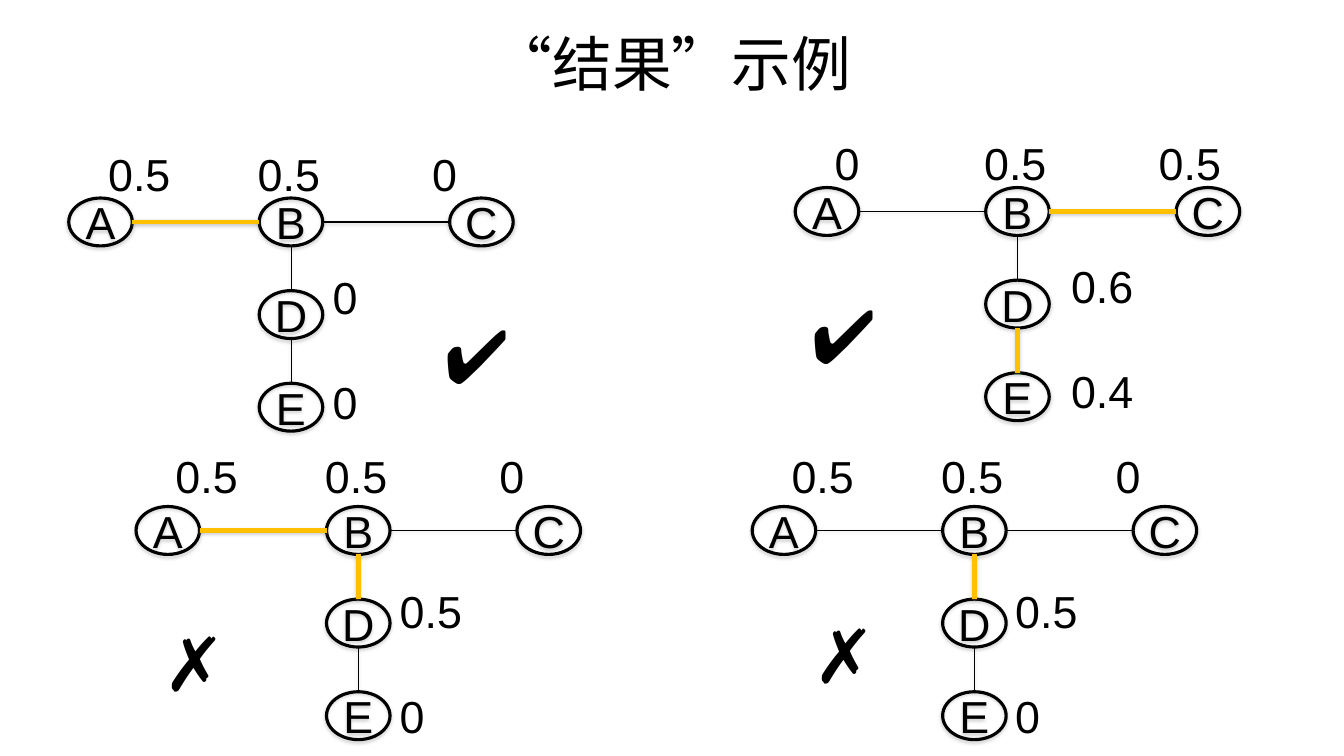
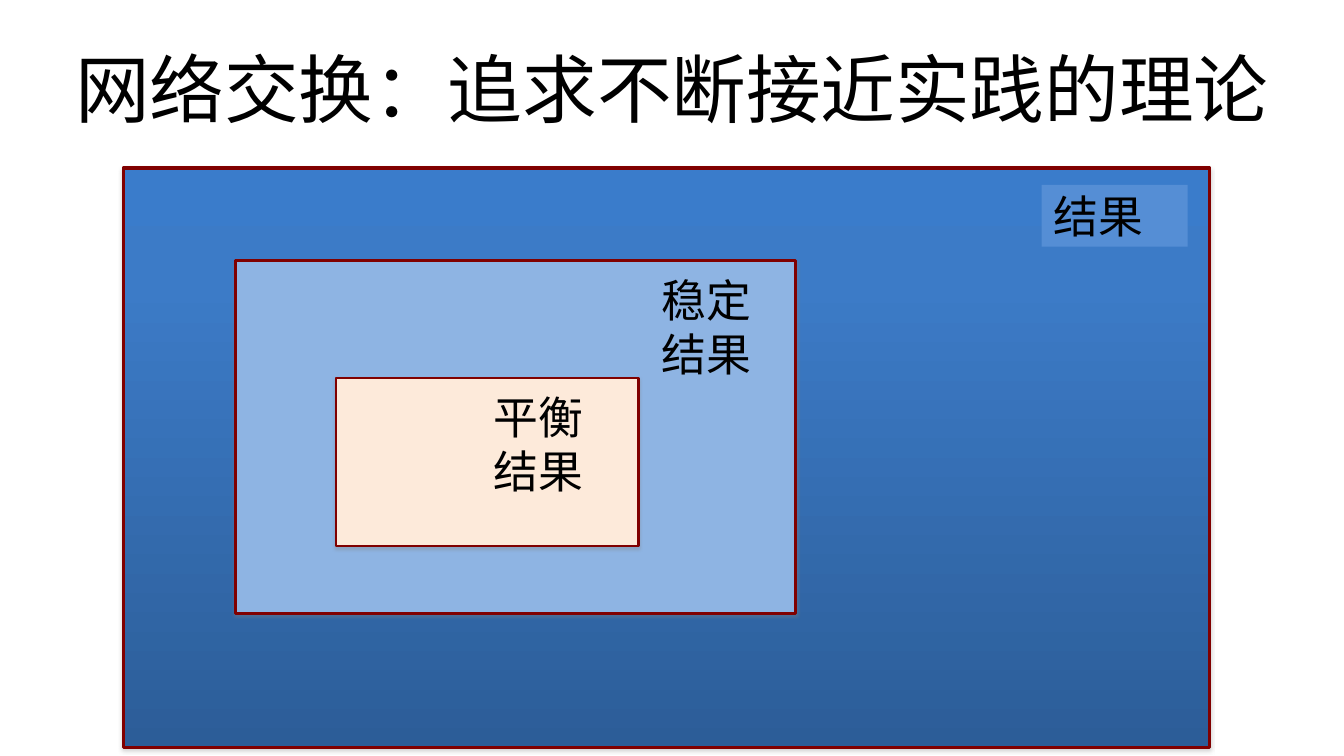
from copy import deepcopy

from pptx import Presentation
from pptx.dml.color import RGBColor
from pptx.enum.lang import MSO_LANGUAGE_ID
from pptx.enum.shapes import MSO_CONNECTOR, MSO_SHAPE
from pptx.enum.text import MSO_ANCHOR, PP_ALIGN
from pptx.oxml import parse_xml
from pptx.oxml.ns import nsdecls, qn
from pptx.util import Pt

BLACK = RGBColor(0x00, 0x00, 0x00)
GOLD = RGBColor(0xFF, 0xC0, 0x00)
MAROON = RGBColor(0x80, 0x00, 0x00)
SKY = RGBColor(0x8E, 0xB4, 0xE3)
AZURE = RGBColor(0x55, 0x8E, 0xD5)
PEACH = RGBColor(0xFD, 0xEA, 0xDA)
BLUE_STOPS = [(0, RGBColor(0x3A, 0x7C, 0xCB)),
              (0.2, RGBColor(0x3C, 0x7B, 0xC7)),
              (1, RGBColor(0x2C, 0x5D, 0x98))]

SLIDE_W, SLIDE_H = 1280, 720
BODY_SIZE, MARK_SIZE = 42.7, 71.1
ROW_GAP = 49
TAB_STOPS = [142.4, 308.6]

NODE_W, NODE_H = 60.5, 45.6
STEP_X, STEP_Y = 181.4, 88.2
NODES = {"A": (0, 0), "B": (1, 0), "C": (2, 0), "D": (1, 1), "E": (1, 2)}
EDGES = ["AB", "BC", "BD", "DE"]
PLAIN, MEDIUM, MATCHED = (BLACK, 0.5), (BLACK, 1.5), (GOLD, 4.5)


class Deck:
    def __init__(self):
        self.prs = Presentation()
        self.prs.slide_width, self.prs.slide_height = Pt(SLIDE_W), Pt(SLIDE_H)
        self.s = None

    def new_slide(self):
        self.s = self.prs.slides.add_slide(self.prs.slide_layouts[6])

    def put_text(self, sp, lines, size=BODY_SIZE, align=PP_ALIGN.LEFT,
                 anchor=MSO_ANCHOR.TOP, gap=0, tabs=(), **frame):
        """Fill a shape with one paragraph per line; frame sets text frame values."""
        tf = sp.text_frame
        values = {"word_wrap": True, "vertical_anchor": anchor, **frame}
        for name, value in values.items():
            setattr(tf, name, value)
        for i, line in enumerate(lines):
            p = tf.paragraphs[0] if i == 0 else tf.add_paragraph()
            p.alignment = align
            if i:
                p.space_before = Pt(gap)
            if tabs:
                stops = "".join(f'<a:tab pos="{Pt(t)}" algn="l"/>' for t in tabs)
                p._p.get_or_add_pPr().append(parse_xml(
                    f'<a:tabLst {nsdecls("a")}>{stops}</a:tabLst>'))
            r = p.add_run()
            r.text = line
            font = {"name": "Arial", "size": Pt(size),
                    "language_id": MSO_LANGUAGE_ID.SIMPLIFIED_CHINESE}
            for name, value in font.items():
                setattr(r.font, name, value)
            r.font.color.rgb = BLACK

    def text(self, box, lines, **style):
        self.put_text(self.s.shapes.add_textbox(*map(Pt, box)), lines, **style)

    def title(self, box, line, size):
        self.text(box, [line], size=size, align=PP_ALIGN.CENTER,
                  anchor=MSO_ANCHOR.MIDDLE)

    def cast_shadow(self, sp, alpha, dist):
        """Add the soft downward shadow; call after fill and line are set."""
        sp._element.spPr.append(parse_xml(
            f'<a:effectLst {nsdecls("a")}><a:outerShdw blurRad="{Pt(3.1)}" '
            f'dist="{Pt(dist)}" dir="5400000" rotWithShape="0">'
            f'<a:srgbClr val="808080"><a:alpha val="{alpha * 1000}"/></a:srgbClr>'
            '</a:outerShdw></a:effectLst>'))

    def shape(self, kind, box, fill=None, line=None, width=3):
        """Fill is a colour, a list of gradient stops, or None."""
        sp = self.s.shapes.add_shape(kind, *map(Pt, box))
        if fill is None:
            sp.fill.background()
        elif isinstance(fill, list):
            self.gradient(sp, fill)
        else:
            sp.fill.solid()
            sp.fill.fore_color.rgb = fill
        if line is None:
            sp.line.fill.background()
            sp.shadow.inherit = False
        else:
            sp.line.color.rgb = line
            sp.line.width = Pt(width)
            self.cast_shadow(sp, 35, 1.8)
        return sp

    def gradient(self, sp, stops):
        sp.fill.gradient()
        sp.fill.gradient_angle = 270
        gs_list = sp._element.spPr.find(".//" + qn("a:gsLst"))
        while len(gs_list) < len(stops):
            gs_list.append(deepcopy(gs_list[0]))
        for stop, (position, color) in zip(sp.fill.gradient_stops, stops):
            stop.position = position
            stop.color.rgb = color

    def edge(self, start, end, color, width):
        line = self.s.shapes.add_connector(
            MSO_CONNECTOR.STRAIGHT, *map(Pt, (*start, *end)))
        line.line.color.rgb = color
        line.line.width = Pt(width)
        self.cast_shadow(line, 38, 1.6)

    def tree(self, x, y, special):
        """Draw the five-node network; special maps edges to (colour, width)."""
        spots = {n: (x + col * STEP_X, y + row * STEP_Y)
                 for n, (col, row) in NODES.items()}
        for name, (left, top) in spots.items():
            sp = self.shape(MSO_SHAPE.OVAL, (left, top, NODE_W, NODE_H), line=BLACK)
            self.put_text(sp, [name], align=PP_ALIGN.CENTER,
                          anchor=MSO_ANCHOR.MIDDLE, word_wrap=False,
                          margin_left=0, margin_right=0)
        for pair in EDGES:
            (x1, y1), (x2, y2) = spots[pair[0]], spots[pair[1]]
            if y1 == y2:
                mid = y1 + NODE_H / 2
                ends = (x1 + NODE_W, mid), (x2, mid)
            else:
                mid = x1 + NODE_W / 2
                ends = (mid, y1 + NODE_H), (mid, y2)
            self.edge(*ends, *special.get(pair, PLAIN))

    def tag(self, box, line, fill):
        self.put_text(self.shape(MSO_SHAPE.RECTANGLE, box, fill), [line],
                      margin_left=Pt(11.5))


def outcome_examples(deck):
    deck.new_slide()
    deck.title((64, 0, 1152, 120), "“结果”示例", 56.9)
    # tree corner, special edges, top values and their y, side values and corner, mark
    examples = [
        ((65.5, 188.6), {"AB": MATCHED, "BC": MEDIUM},
         "0.5\t0.5\t0", 136, ["0", "0"], (309.6, 253.4), "✔", (416, 291)),
        ((757.4, 178.6), {"BC": MATCHED, "DE": MATCHED},
         "0\t0.5\t0.5", 125.3, ["0.6", "0.4"], (1013, 242.6), "✔", (766, 272)),
        ((129.6, 482.4), {"AB": MATCHED, "BD": MATCHED},
         "0.5\t0.5\t0", 424, ["0.5", "0"], (373.6, 552.2), "✗", (149, 584)),
        ((716.4, 482.4), {"BD": MATCHED},
         "0.5\t0.5\t0", 424, ["0.5", "0"], (959.8, 552.2), "✗", (768, 576)),
    ]
    for (x, y), special, top, top_y, side, side_at, mark, mark_at in examples:
        deck.tree(x, y, special)
        deck.text((x + 30.4, top_y, 400, 59), [top], tabs=TAB_STOPS)
        deck.text((*side_at, 90, 163), side, gap=ROW_GAP)
        deck.text((*mark_at, 100, 93.6), [mark], size=MARK_SIZE)


def nested_outcomes(deck):
    deck.new_slide()
    deck.title((42.5, 31.7, 1194.5, 103.7), "网络交换：追求不断接近实践的理论", 71.1)
    rings = [
        ((117.3, 160, 1034.7, 552), BLUE_STOPS, 3),
        ((224, 248, 533.5, 336), SKY, 3),
        ((320, 360, 288, 160), PEACH, 2.25),
    ]
    for box, fill, width in rings:
        deck.shape(MSO_SHAPE.RECTANGLE, box, fill, MAROON, width)
    deck.tag((992, 176, 139, 59), "结果", AZURE)
    deck.tag((618.7, 256, 128, 111), "稳定结果", SKY)
    deck.tag((458.7, 368, 139, 111), "平衡结果", PEACH)


def main():
    deck = Deck()
    outcome_examples(deck)
    nested_outcomes(deck)
    deck.prs.save("out.pptx")


if __name__ == "__main__":
    main()
